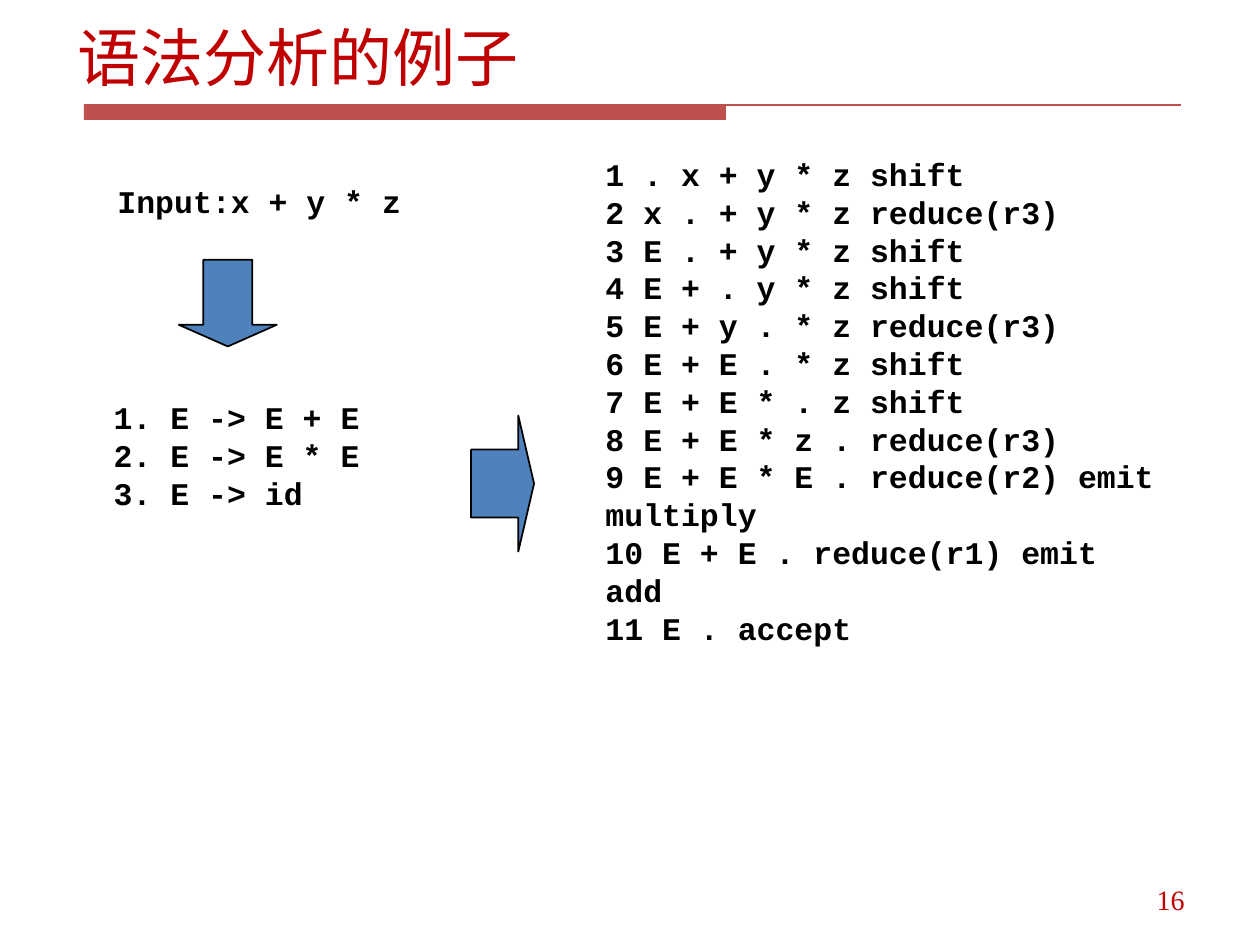
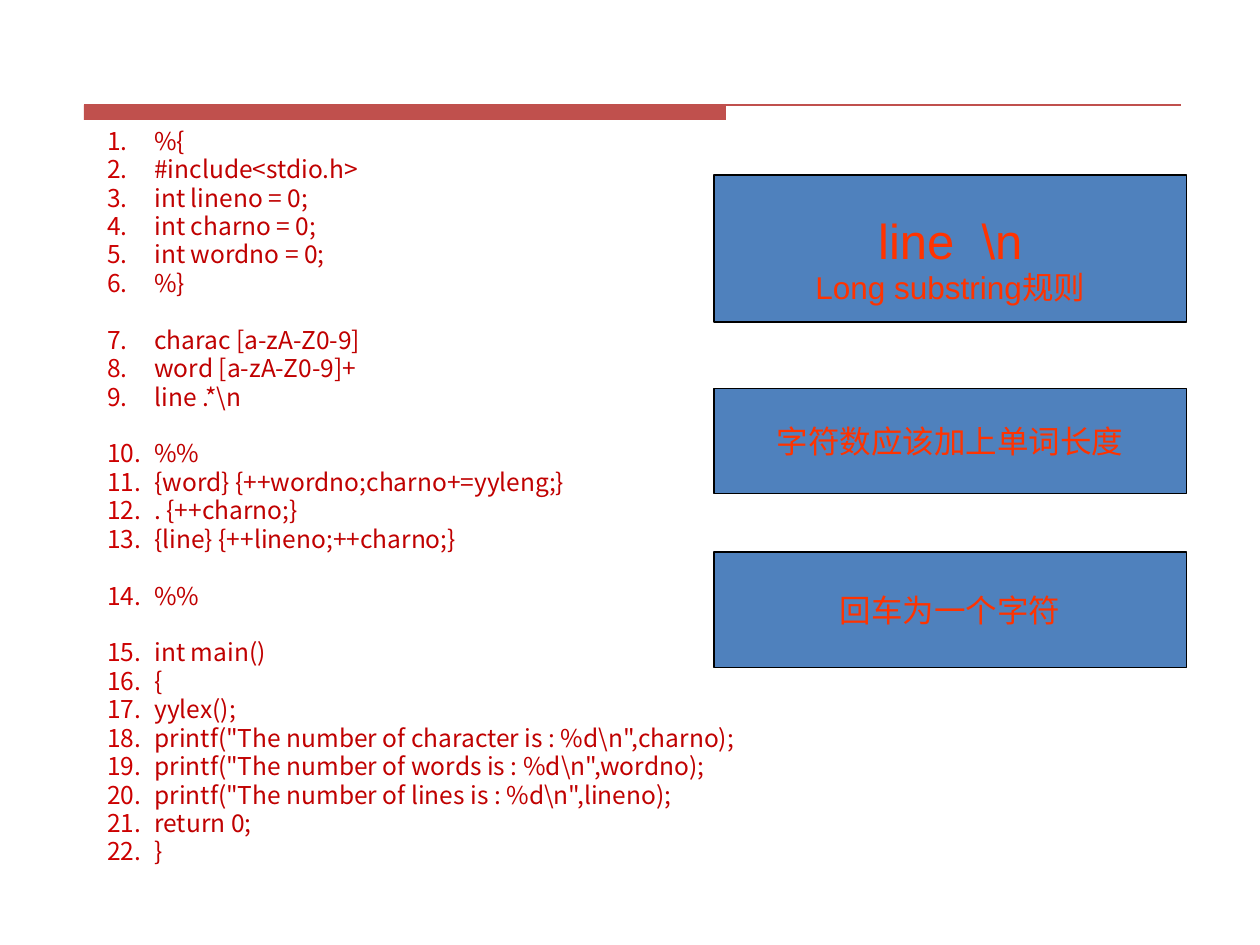
import pptx
import pptx.util
import pptx.dml.color
import pptx.enum.shapes
import pptx.enum.text
import pptx.oxml.ns
from lxml import etree

Pt = pptx.util.Pt
qn = pptx.oxml.ns.qn
SHAPE = pptx.enum.shapes.MSO_SHAPE
ALIGN = pptx.enum.text.PP_ALIGN
ANCHOR = pptx.enum.text.MSO_ANCHOR

RED, BAND, BLUE, BLACK = "C00000", "C0504D", "4F81BD", "000000"
ORANGE, NUMBER_RED = "FF3300", "CC0000"
CJK, CODE, SANS, SERIF = "Noto Sans CJK SC", "Courier New", "Arial", "Times New Roman"
INSETS = (7.2, 3.6, 7.2, 3.6)
CODE_INSETS = (28, -5, 28, -5)
LINE_GAP, GROUP_GAP = 2.8, 19.05

GRAMMAR = ["1. E -> E + E", "2. E -> E * E", "3. E -> id"]
STEPS = [
    "1 . x + y * z shift",
    "2 x . + y * z reduce(r3)",
    "3 E . + y * z shift",
    "4 E + . y * z shift",
    "5 E + y . * z reduce(r3)",
    "6 E + E . * z shift",
    "7 E + E * . z shift",
    "8 E + E * z . reduce(r3)",
    "9 E + E * E . reduce(r2) emit multiply",
    "10 E + E . reduce(r1) emit add",
    "11 E . accept",
]
# Groups of source lines, set apart by one line of space
LEX_GROUPS = [
    ["%{", "#include<stdio.h>", "int lineno = 0;", "int charno = 0;",
     "int wordno = 0;", "%}"],
    ["charac [a-zA-Z0-9]", "word [a-zA-Z0-9]+", "line .*\\n"],
    ["%%", "{word} {++wordno;charno+=yyleng;}", ". {++charno;}",
     "{line} {++lineno;++charno;}"],
    ["%%"],
    ["int main()", "{", "yylex();",
     'printf("The number of character is : %d\\n",charno);',
     'printf("The number of words is : %d\\n",wordno);',
     'printf("The number of lines is : %d\\n",lineno);',
     "return 0;", "}"],
]


def rgb(value):
    return pptx.dml.color.RGBColor.from_string(value)


def place(sp, box):
    sp.left, sp.top, sp.width, sp.height = (Pt(v) for v in box)


def set_frame(tf, insets=INSETS, anchor=ANCHOR.TOP, wrap=True):
    tf.margin_left, tf.margin_top, tf.margin_right, tf.margin_bottom = (
        Pt(v) for v in insets)
    tf.vertical_anchor = anchor
    tf.word_wrap = wrap
    tf.auto_size = pptx.enum.text.MSO_AUTO_SIZE.NONE


def format_text(p, size, font, color, bold=False, align=ALIGN.LEFT):
    p.alignment = align
    for r in p.runs:
        r.font.size, r.font.name, r.font.bold = Pt(size), font, bold
        r.font.color.rgb = rgb(color)
        ea = etree.Element(qn("a:ea"), typeface=CJK)
        r.font._element.find(qn("a:latin")).addnext(ea)


def number_paragraph(p, indent):
    pPr = p._p.get_or_add_pPr()
    pPr.set("marL", str(Pt(indent)))
    pPr.set("indent", str(-Pt(indent)))
    color = etree.SubElement(pPr, qn("a:buClr"))
    etree.SubElement(color, qn("a:srgbClr"), val=NUMBER_RED)
    etree.SubElement(pPr, qn("a:buFont"), typeface=CJK)
    etree.SubElement(pPr, qn("a:buAutoNum"), type="arabicPeriod")


def add_block(s, kind, box, fill=BLUE, line=BLACK):
    sp = s.shapes.add_shape(kind, *(Pt(v) for v in box))
    sp.shadow.inherit = False
    sp.fill.solid()
    sp.fill.fore_color.rgb = rgb(fill)
    if line:
        sp.line.color.rgb = rgb(line)
        sp.line.width = Pt(1)
    else:
        sp.line.fill.background()
    return sp


def add_band(s, box):
    """Thick bar over the left part, thin rule over the full width."""
    x, y, w, h = box
    add_block(s, SHAPE.RECTANGLE, (x, y, w * 0.585, h), BAND, None)
    rule = s.shapes.add_connector(
        pptx.enum.shapes.MSO_CONNECTOR.STRAIGHT, Pt(x), Pt(y), Pt(x + w), Pt(y))
    rule.line.color.rgb = rgb(BAND)
    rule.line.width = Pt(0.75)
    etree.SubElement(rule._element.spPr, qn("a:effectLst"))


def add_text(s, box, lines, size=18, font=CODE, color=BLACK, bold=True,
             align=ALIGN.LEFT, insets=INSETS):
    tf = s.shapes.add_textbox(*(Pt(v) for v in box)).text_frame
    set_frame(tf, insets)
    tf.text = "\n".join(lines)
    for p in tf.paragraphs:
        format_text(p, size, font, color, bold, align)


def add_title(s, text, box):
    sp = s.shapes.title
    place(sp, box)
    set_frame(sp.text_frame, anchor=ANCHOR.MIDDLE)
    sp.text_frame.text = text
    format_text(sp.text_frame.paragraphs[0], 36, CJK, RED)


def add_listing(s, groups, box):
    sp = s.placeholders[1]
    place(sp, box)
    tf = sp.text_frame
    set_frame(tf)
    tf.text = "\n".join(line for group in groups for line in group)
    paragraphs = iter(tf.paragraphs)
    for g, group in enumerate(groups):
        for i in range(len(group)):
            p = next(paragraphs)
            p.line_spacing = 0.8
            first_gap = GROUP_GAP if g else 0
            p.space_before = Pt(LINE_GAP if i else first_gap)
            format_text(p, 14, CJK, RED)
            number_paragraph(p, 27)


def add_note(s, box, lines, insets=INSETS, spacing=1.0, gap=0):
    """Filled box with centred lines given as (text, size)."""
    tf = add_block(s, SHAPE.RECTANGLE, box).text_frame
    set_frame(tf, insets, ANCHOR.MIDDLE, wrap=False)
    tf.text = "\n".join(text for text, _ in lines)
    for i, (p, (_, size)) in enumerate(zip(tf.paragraphs, lines)):
        p.line_spacing = spacing
        p.space_before = Pt(gap if i else 0)
        format_text(p, size, SANS, ORANGE, align=ALIGN.CENTER)


def new_slide(prs, layout):
    s = prs.slides.add_slide(prs.slide_layouts[layout])
    add_band(s, (48, 60, 627, 8.5))
    return s


def parsing_slide(prs):
    s = new_slide(prs, 5)
    add_title(s, "语法分析的例子", (37, 0, 647, 64))
    add_text(s, (516, 500.5, 168, 29), ["16"], 16, SERIF, RED, False, ALIGN.RIGHT)
    # Input, grammar and parser steps
    add_text(s, (60, 100.5, 192, 36), ["Input:x + y * z"])
    add_text(s, (37, 232.6, 198, 105), GRAMMAR, insets=CODE_INSETS)
    add_text(s, (318, 93.6, 372.5, 385), STEPS, insets=CODE_INSETS)
    # Arrows between them
    for kind, box in ((SHAPE.DOWN_ARROW, (102.2, 148.5, 56, 49.5)),
                      (SHAPE.RIGHT_ARROW, (269.2, 237.5, 36, 77.7))):
        arrow = add_block(s, kind, box)
        arrow.adjustments[0], arrow.adjustments[1] = 0.5, 0.25


def lex_slide(prs):
    s = new_slide(prs, 1)
    title = s.shapes.title._element
    title.getparent().remove(title)
    add_listing(s, LEX_GROUPS, (54, 71.5, 612, 459.5))
    # Remarks down the right side
    x, w = 408, 270
    add_note(s, (x, 100, w, 84), [("line  \\n", 28), ("Long substring规则", 18)],
             insets=(7.2, 21, 7.2, 3.6), spacing=0.8, gap=3.6)
    add_note(s, (x, 222, w, 60), [("字符数应该加上单词长度", 18)])
    add_note(s, (x, 315.5, w, 66), [("回车为一个字符", 18)])


def main():
    prs = pptx.Presentation()
    prs.slide_width, prs.slide_height = Pt(720), Pt(540)
    parsing_slide(prs)
    lex_slide(prs)
    prs.save("out.pptx")


if __name__ == "__main__":
    main()
